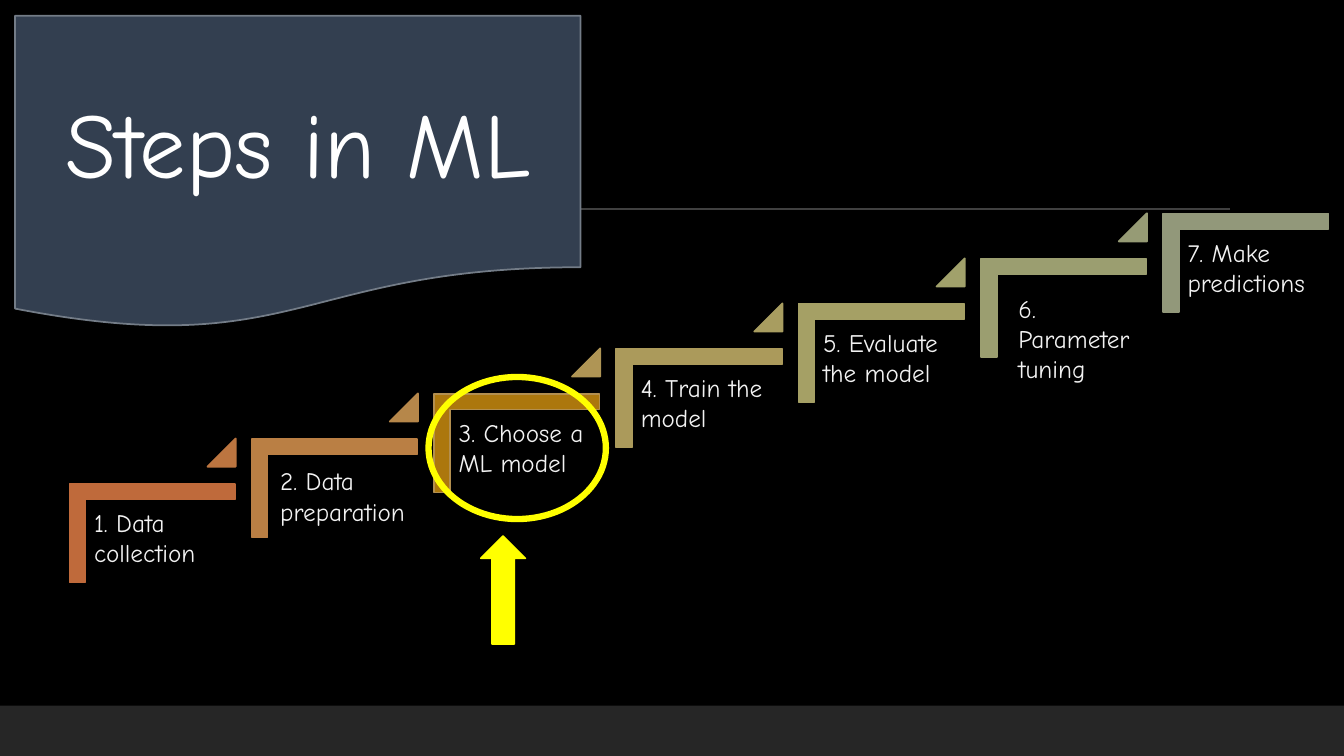
"""Build the "Steps in ML" staircase slide."""
from pptx import Presentation
from pptx import util as u
from pptx.dml.color import RGBColor
from pptx.enum import shapes, text
from pptx.oxml.ns import qn
from lxml import etree

COLORS = {
    "background": "000000", "footer": "262626", "rule": "404040",
    "banner": "333F50", "banner edge": "737C87", "title": "FFFFFF",
    "label": "F2F2F2", "highlight": "FFFF00", "chosen": "AC770D",
    "step 1": "BF6A3B", "rise 1": "BC7540",
    "step 2": "BA7F44", "rise 2": "B6874A",
    "step 3": "B38F4F", "rise 3": "AF9555",
    "step 4": "AB9A5B", "rise 4": "A89D60",
    "step 5": "A5A065", "rise 5": "A1A16B",
    "step 6": "9B9E70", "rise 6": "969B75",
    "step 7": "92987A",
}
STEPS = ["Data collection", "Data preparation", "Choose a ML model",
         "Train the model", "Evaluate the model", "Parameter tuning",
         "Make predictions"]
LABEL_NUDGES = {2: (0.1, 0.08), 6: (0.33, 0.27)}
RUN, RISE = 4.593, 1.135
PRESET = shapes.MSO_SHAPE


def color(name):
    return RGBColor.from_string(COLORS[name])


def write(shape, words, size=18, ink="label", align=text.PP_ALIGN.LEFT,
          anchor=text.MSO_ANCHOR.TOP, inset=None, after=0):
    frame = shape.text_frame
    frame.word_wrap = True
    frame.vertical_anchor = anchor
    if inset is not None:
        frame.margin_left = frame.margin_right = u.Cm(inset)
        frame.margin_top = frame.margin_bottom = u.Cm(inset)
    paragraph = frame.paragraphs[0]
    paragraph.alignment = align
    paragraph.space_after = u.Pt(after)
    run = paragraph.add_run()
    run.text = words
    run.font.name = "Comic Neue"
    run.font.size = u.Pt(size)
    run.font.color.rgb = color(ink)


class Deck:
    """Hold the slide style and draw each kind of element."""

    def __init__(self):
        self.file = Presentation()
        self.file.slide_width = u.Cm(33.87)
        self.file.slide_height = u.Cm(19.05)
        self.slide = self.file.slides.add_slide(self.file.slide_layouts[6])
        backdrop = self.slide.background.fill
        backdrop.solid()
        backdrop.fore_color.rgb = color("background")

    def shape(self, preset, box, fill=None, edge=None, weight=1.25,
              adjust=(), turn=0):
        shape = self.slide.shapes.add_shape(preset, *map(u.Cm, box))
        shape.shadow.inherit = False
        shape.rotation = turn
        for index, value in enumerate(adjust):
            shape.adjustments[index] = value
        if fill:
            shape.fill.solid()
            shape.fill.fore_color.rgb = color(fill)
        else:
            shape.fill.background()
        if edge:
            shape.line.color.rgb = color(edge)
            shape.line.width = u.Pt(weight)
        else:
            shape.line.fill.background()
        return shape

    def rule(self, ends, ink):
        rule = self.slide.shapes.add_connector(
            shapes.MSO_CONNECTOR.STRAIGHT, *map(u.Cm, ends))
        rule.line.color.rgb = color(ink)
        rule.line.width = u.Pt(1)
        etree.SubElement(rule._element.spPr, qn("a:effectLst"))

    def label(self, box, words):
        label = self.slide.shapes.add_textbox(*map(u.Cm, box))
        write(label, words, inset=0.19, after=6.3)

    def step(self, number, words):
        right, up = (number - 1) * RUN, (number - 1) * RISE
        stair = f"step {number}"
        self.shape(PRESET.CORNER, (2.59 + right, 11.35 - up, 2.49, 4.17),
                   "chosen" if number == 3 else stair, stair,
                   adjust=(0.161, 0.161), turn=90)
        dx, dy = LABEL_NUDGES.get(number, (0, 0))
        self.label((2.18 + right + dx, 12.6 - up + dy, 3.76, 3.28),
                   f"{number}. {words}")
        if number < len(STEPS):
            rise = f"rise {number}"
            self.shape(PRESET.ISOSCELES_TRIANGLE,
                       (5.23 + right, 11.05 - up, 0.71, 0.71),
                       rise, rise, adjust=(1,))


def main():
    deck = Deck()
    deck.shape(PRESET.RECTANGLE, (0, 17.78, 33.87, 1.27), "footer")
    deck.rule((3.33, 5.27, 31, 5.27), "rule")
    for number, words in enumerate(STEPS, 1):
        deck.step(number, words)
    banner = deck.shape(PRESET.FLOWCHART_DOCUMENT, (0.38, 0.4, 14.25, 7.9),
                        "banner", "banner edge")
    write(banner, "Steps in ML", size=66, ink="title",
          align=text.PP_ALIGN.CENTER, anchor=text.MSO_ANCHOR.MIDDLE)
    deck.shape(PRESET.OVAL, (10.8, 9.5, 4.47, 3.58), edge="highlight",
               weight=4.5)
    deck.shape(PRESET.UP_ARROW, (12.12, 13.51, 1.12, 2.72),
               "highlight", "highlight")
    deck.file.save("out.pptx")


if __name__ == "__main__":
    main()
